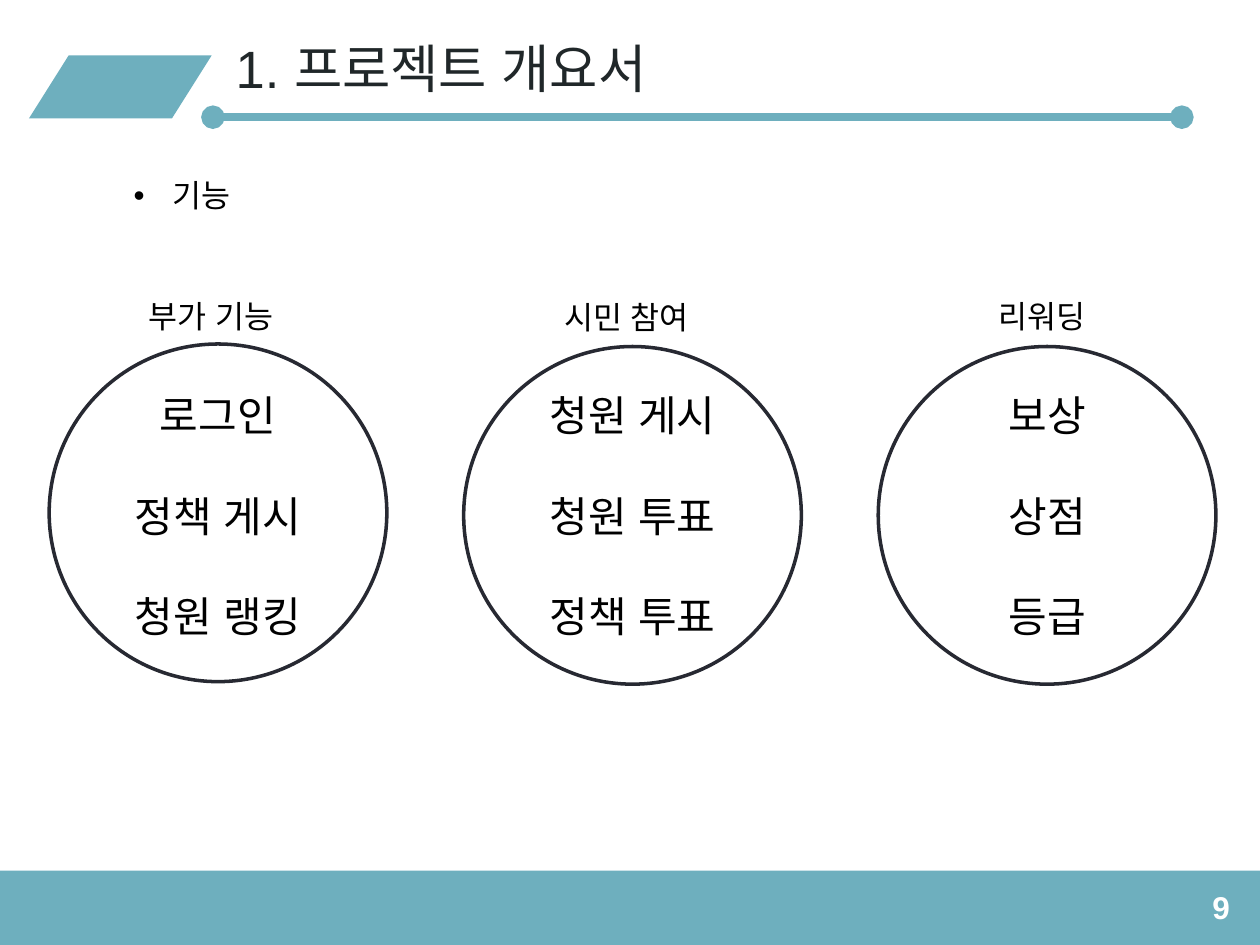
from dataclasses import dataclass

from lxml.etree import SubElement
from pptx import Presentation
from pptx.dml.color import RGBColor
from pptx.enum.shapes import MSO_CONNECTOR, MSO_SHAPE
from pptx.enum.text import MSO_ANCHOR, PP_ALIGN
from pptx.oxml.ns import qn
from pptx.util import Inches, Pt

TEAL = RGBColor(0x6E, 0xAF, 0xBE)
NAVY = RGBColor(0x27, 0x29, 0x32)
INK = RGBColor(0x20, 0x27, 0x29)
BLACK = RGBColor(0, 0, 0)
WHITE = RGBColor(0xFF, 0xFF, 0xFF)
FONT = "Arial"

DIAMETER = 2.68
FIRST_LEFT = 0.39
PITCH = 3.29
LIST_TOP, LIST_HEIGHT = 3.03, 2.12
LIST_LINE = Pt(28.8)


@dataclass
class FeatureGroup:
    label: str
    label_left: float
    label_top: float
    label_width: float
    circle_top: float
    list_width: float
    items: list[str]


GROUPS = [
    FeatureGroup("부가 기능", 1.08, 2.31, 1.28, 2.73, 1.64, ["로그인", "정책 게시", "청원 랭킹"]),
    FeatureGroup("시민 참여", 4.38, 2.32, 1.28, 2.75, 1.64, ["청원 게시", "청원 투표", "정책 투표"]),
    FeatureGroup("리워딩", 7.83, 2.31, 0.96, 2.75, 0.88, ["보상", "상점", "등급"]),
]


def place(sp, left: float, top: float, width: float, height: float) -> None:
    sp.left, sp.top = Inches(left), Inches(top)
    sp.width, sp.height = Inches(width), Inches(height)


def write(tf, lines: list[str], size: float, color: RGBColor, bold: bool = False, **formats) -> None:
    """Fill a text frame, one paragraph a line; formats are paragraph attributes."""
    for i, line in enumerate(lines):
        p = tf.add_paragraph() if i else tf.paragraphs[0]
        for name, value in formats.items():
            setattr(p, name, value)
        r = p.add_run()
        r.text = line
        r.font.size, r.font.bold, r.font.name = Pt(size), bold, FONT
        r.font.color.rgb = color
        SubElement(r.font._element, qn("a:ea"), typeface=FONT)


def set_insets(tf, inset: float) -> None:
    for side in ("left", "top", "right", "bottom"):
        setattr(tf, f"margin_{side}", Inches(inset))


def add_text(s, left: float, top: float, width: float, height: float, wrap: bool = False):
    tf = s.shapes.add_textbox(Inches(left), Inches(top), Inches(width), Inches(height)).text_frame
    tf.word_wrap = wrap
    return tf


def add_solid(s, kind: MSO_SHAPE, left: float, top: float, width: float, height: float):
    sp = s.shapes.add_shape(kind, Inches(left), Inches(top), Inches(width), Inches(height))
    sp.shadow.inherit = False
    sp.fill.solid()
    sp.fill.fore_color.rgb = TEAL
    sp.line.fill.background()
    return sp


def add_title_rule(s) -> None:
    rule = s.shapes.add_connector(
        MSO_CONNECTOR.STRAIGHT, Inches(1.69), Inches(0.93), Inches(9.38), Inches(0.93))
    rule.line.color.rgb = TEAL
    rule.line.width = Pt(4.5)
    ln = rule.line._get_or_add_ln()
    for end in ("a:headEnd", "a:tailEnd"):
        SubElement(ln, qn(end), type="oval")
    SubElement(rule._element.spPr, qn("a:effectLst"))


def add_group(s, group: FeatureGroup, column: int) -> None:
    left = FIRST_LEFT + column * PITCH
    circle = s.shapes.add_shape(
        MSO_SHAPE.OVAL, Inches(left), Inches(group.circle_top), Inches(DIAMETER), Inches(DIAMETER))
    circle.shadow.inherit = False
    circle.fill.background()
    circle.line.color.rgb = NAVY
    circle.line.width = Pt(2)

    label = add_text(s, group.label_left, group.label_top, group.label_width, 0.4)
    write(label, [group.label], 18, BLACK)

    list_left = left + (DIAMETER - group.list_width) / 2
    tf = add_text(s, list_left, LIST_TOP, group.list_width, LIST_HEIGHT)
    tf.vertical_anchor = MSO_ANCHOR.MIDDLE
    write(tf, group.items[:1], 24, BLACK, alignment=PP_ALIGN.CENTER, line_spacing=LIST_LINE)
    for item in group.items[1:]:
        tf.add_paragraph()
    for p, item in zip(tf.paragraphs[1:], group.items[1:]):
        p.alignment, p.line_spacing, p.space_before = PP_ALIGN.CENTER, LIST_LINE, LIST_LINE
        r = p.add_run()
        r.text = item
        r.font.size, r.font.name = Pt(24), FONT
        r.font.color.rgb = BLACK
        SubElement(r.font._element, qn("a:ea"), typeface=FONT)


def main() -> None:
    prs = Presentation()
    prs.slide_width, prs.slide_height = Inches(10), Inches(7.5)
    s = prs.slides.add_slide(prs.slide_layouts[1])

    add_solid(s, MSO_SHAPE.PARALLELOGRAM, 0.23, 0.44, 1.45, 0.5).adjustments[0] = 0.63
    add_title_rule(s)
    add_solid(s, MSO_SHAPE.RECTANGLE, 0, 6.91, 10, 0.59)

    title = s.shapes.title
    place(title, 1.77, 0.16, 7.6, 0.76)
    set_insets(title.text_frame, 0.1)
    title.text_frame.vertical_anchor = MSO_ANCHOR.MIDDLE
    write(title.text_frame, ["1. 프로젝트 개요서"], 30, INK, alignment=PP_ALIGN.LEFT)

    body = s.placeholders[1]
    place(body, 0.96, 1.2, 7.89, 1.26)
    write(body.text_frame, ["기능"], 18, BLACK, line_spacing=1.5, space_before=Pt(0))
    pPr = body.text_frame.paragraphs[0]._p.get_or_add_pPr()
    pPr.set("marL", str(Inches(0.31)))
    pPr.set("indent", str(-Inches(0.31)))

    for column, group in enumerate(GROUPS):
        add_group(s, group, column)

    number = add_text(s, 7.61, 7, 2.25, 0.4, wrap=True)
    set_insets(number, 0.1)
    number.vertical_anchor = MSO_ANCHOR.MIDDLE
    write(number, ["9"], 18, WHITE, bold=True, alignment=PP_ALIGN.RIGHT)

    prs.save("out.pptx")


if __name__ == "__main__":
    main()
